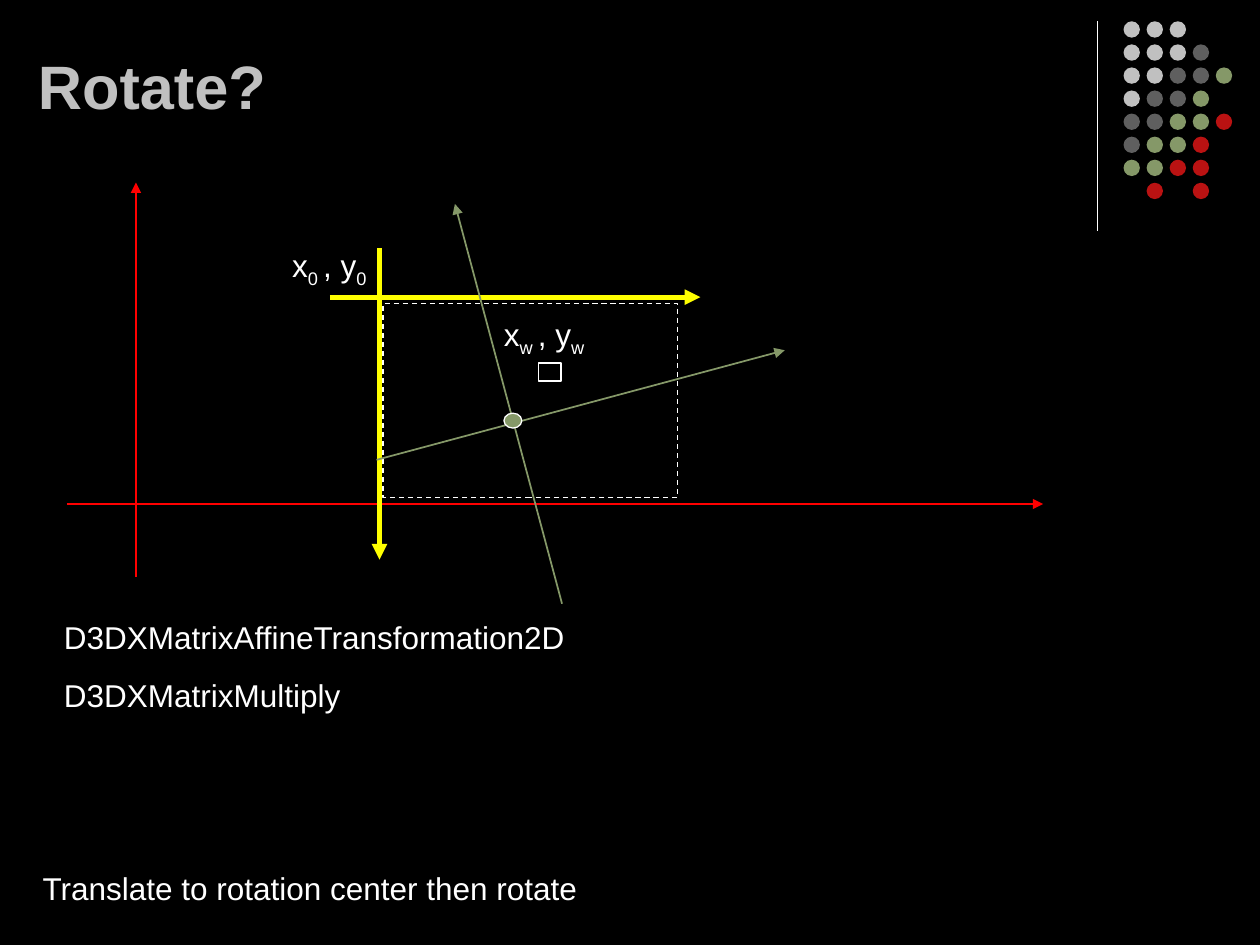
from lxml import etree
from pptx import Presentation
from pptx.dml.color import RGBColor
from pptx.enum.dml import MSO_LINE
from pptx.enum.shapes import MSO_CONNECTOR, MSO_SHAPE
from pptx.enum.text import MSO_ANCHOR, MSO_AUTO_SIZE, PP_ALIGN
from pptx.oxml.ns import qn
from pptx.util import Cm, Pt

BLACK = RGBColor(0x00, 0x00, 0x00)
WHITE = RGBColor(0xFF, 0xFF, 0xFF)
SILVER = RGBColor(0xC0, 0xC0, 0xC0)
GRAY = RGBColor(0x5F, 0x5F, 0x5F)
GREEN = RGBColor(0x85, 0x98, 0x68)
CRIMSON = RGBColor(0xBA, 0x12, 0x12)
RED = RGBColor(0xFF, 0x00, 0x00)
YELLOW = RGBColor(0xFF, 0xFF, 0x00)

RECT, OVAL = MSO_SHAPE.RECTANGLE, MSO_SHAPE.OVAL
STRAIGHT = MSO_CONNECTOR.STRAIGHT
DASH = MSO_LINE.DASH
BOTTOM = MSO_ANCHOR.BOTTOM
LEFT = PP_ALIGN.LEFT
GROW = MSO_AUTO_SIZE.SHAPE_TO_FIT_TEXT
NO_FIT = MSO_AUTO_SIZE.NONE

FONT = "Arial"
DOT_COLORS = {"s": SILVER, "g": GRAY, "o": GREEN, "r": CRIMSON}
DOT_ROWS = ["sss", "sssg", "ssggo", "sggo", "ggoor", "goor", "oorr", " r r"]


def add_run(p, text, size=18, color=WHITE, bold=False, subscript=False):
    r = p.add_run()
    r.text = text
    r.font.name, r.font.size, r.font.bold = FONT, Pt(size), bold
    r.font.color.rgb = color
    if subscript:
        r.font._element.set("baseline", "-25000")


def add_text(s, left, top, width, height, paragraphs):
    """Each paragraph is a list of (text, subscript) runs."""
    tf = s.shapes.add_textbox(Cm(left), Cm(top), Cm(width), Cm(height)).text_frame
    tf.word_wrap, tf.auto_size = True, GROW
    for i, runs in enumerate(paragraphs):
        p = tf.add_paragraph() if i else tf.paragraphs[0]
        p.space_before = Pt(11.2)
        for text, subscript in runs:
            add_run(p, text, subscript=subscript)


def add_line(s, x1, y1, x2, y2, color, width=0.75, arrow=True):
    line = s.shapes.add_connector(STRAIGHT, Cm(x1), Cm(y1), Cm(x2), Cm(y2))
    line.line.color.rgb, line.line.width = color, Pt(width)
    if arrow:
        ln = line.line._get_or_add_ln()
        etree.SubElement(ln, qn("a:tailEnd")).set("type", "triangle")
    etree.SubElement(line._element.spPr, qn("a:effectLst"))


def add_figure(s, kind, left, top, width, height, fill=None, line=None, dash=None):
    sp = s.shapes.add_shape(kind, Cm(left), Cm(top), Cm(width), Cm(height))
    sp.shadow.inherit = False
    if fill is None:
        sp.fill.background()
    else:
        sp.fill.solid()
        sp.fill.fore_color.rgb = fill
    if line is None:
        sp.line.fill.background()
    else:
        sp.line.color.rgb, sp.line.width = line, Pt(0.75)
    if dash:
        sp.line.dash_style = dash


def add_title(s, left, top, width, height):
    title = s.shapes.title
    title.left, title.top = Cm(left), Cm(top)
    title.width, title.height = Cm(width), Cm(height)
    tf = title.text_frame
    tf.vertical_anchor, tf.auto_size = BOTTOM, NO_FIT
    p = tf.paragraphs[0]
    p.alignment = LEFT
    add_run(p, "Rotate?", 35, SILVER, bold=True)


def add_ornament(s, left, top, height):
    add_line(s, left, top, left, top + height, WHITE, arrow=False)
    pitch, size = 0.465, 0.33
    for row, dots in enumerate(DOT_ROWS):
        for col, key in enumerate(dots):
            if key in DOT_COLORS:
                add_figure(s, OVAL, left + 0.53 + col * pitch, top + row * pitch,
                           size, size, fill=DOT_COLORS[key])


def add_diagram(s, left, top):
    # Window
    add_figure(s, RECT, left + 6.37, top + 2.44, 5.94, 3.91, line=WHITE, dash=DASH)
    # World axes, then window axes
    for x1, y1, x2, y2, color, width in [
        (1.39, 7.95, 1.39, 0, RED, 0.75),
        (0, 6.48, 19.68, 6.48, RED, 0.75),
        (6.3, 1.32, 6.3, 7.6, YELLOW, 3),
        (5.3, 2.31, 12.77, 2.31, YELLOW, 3),
    ]:
        add_line(s, left + x1, top + y1, left + x2, top + y2, color, width)
    # Point in the window
    add_figure(s, RECT, left + 9.5, top + 3.64, 0.46, 0.36, line=WHITE)
    # Coordinate labels
    for x, y, index in [(4.29, 1.15, "0"), (8.56, 2.54, "w")]:
        add_text(s, left + x, top + y, 2.84, 1.12,
                 [[("x", False), (index + " ", True), (", y", False), (index, True)]])
    # Rotated axes and their center
    for x1, y1, x2, y2 in [(6.24, 5.59, 14.47, 3.38), (9.98, 8.49, 7.82, 0.43)]:
        add_line(s, left + x1, top + y1, left + x2, top + y2, GREEN, 1)
    add_figure(s, OVAL, left + 8.81, top + 4.65, 0.36, 0.3, fill=GREEN, line=WHITE)


def add_notes_text(s, left, top, width):
    add_text(s, left + 0.43, top, width, 2.18,
             [[("D3DXMatrixAffineTransformation2D", False)],
              [("D3DXMatrixMultiply", False)]])
    add_text(s, left, top + 5.06, width, 1.02,
             [[("Translate to rotation center then rotate", False)]])


def main():
    prs = Presentation()
    prs.slide_width, prs.slide_height = Cm(25.4), Cm(19.05)
    s = prs.slides.add_slide(prs.slide_layouts[5])
    s.background.fill.solid()
    s.background.fill.fore_color.rgb = BLACK
    add_ornament(s, 22.12, 0.43, 4.22)
    add_title(s, 0.51, 0.33, 20.96, 2.26)
    add_diagram(s, 1.35, 3.68)
    add_notes_text(s, 0.61, 12.34, 24.36)
    prs.save("out.pptx")


if __name__ == "__main__":
    main()
